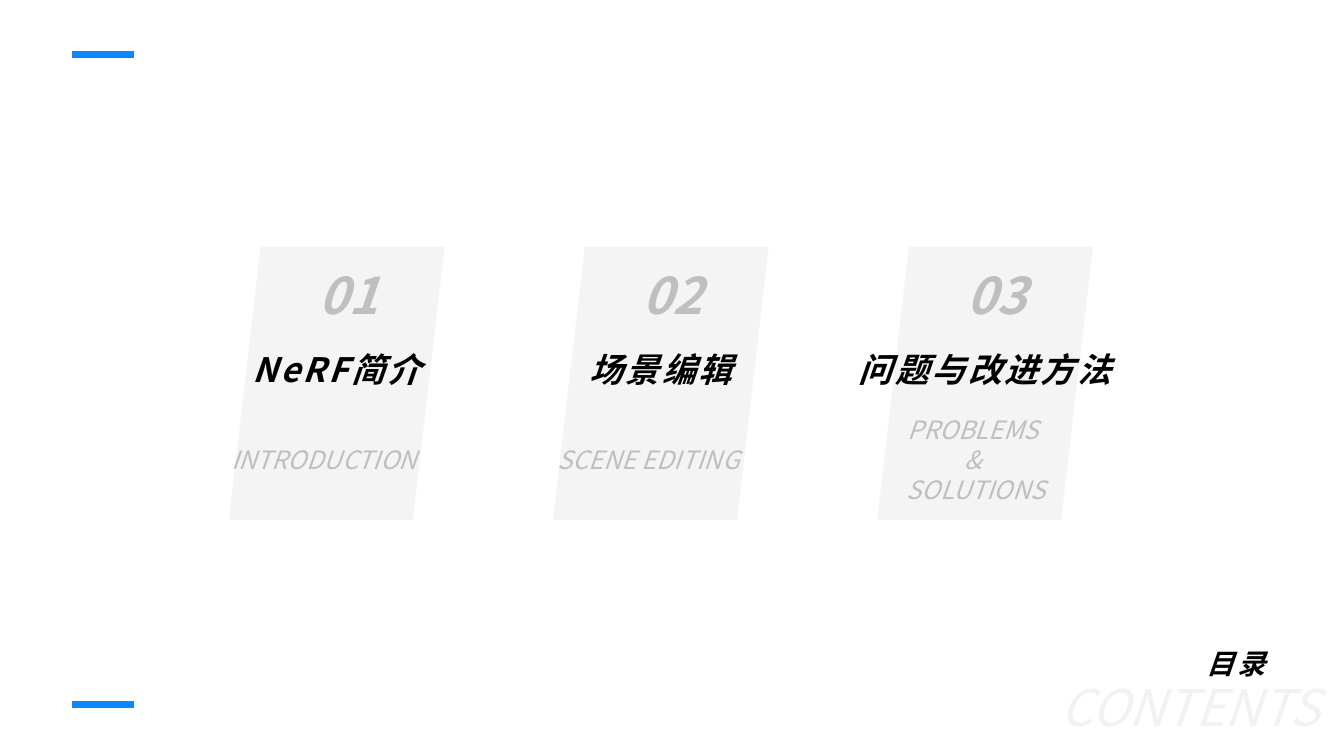
from lxml import etree
from pptx import Presentation
from pptx import util as u
from pptx.dml.color import RGBColor
from pptx.enum import shapes, text
from pptx.oxml.ns import qn

COLORS = {"panel": "F2F2F2", "grey": "BFBFBF", "black": "000000", "accent": "0B88FF"}
FONT = "Noto Sans CJK SC"
STYLES = {
    "number": {"size": u.Pt(36), "bold": True, "italic": True},
    "title": {"size": u.Pt(24), "bold": True, "italic": True},
    "caption": {"size": u.Pt(18), "bold": False, "italic": True},
    "heading": {"size": u.Pt(20), "bold": True, "italic": True},
    "backdrop": {"size": u.Pt(36), "bold": False, "italic": True},
}
TEXT_COLORS = {"number": "grey", "title": "black", "caption": "grey",
               "heading": "black", "backdrop": "panel"}
SPACED = ("title", "heading")


class SlideBuilder:
    def __init__(self, slide):
        self.slide = slide

    def panel(self, left, top, width, height):
        shape = self.slide.shapes.add_shape(
            shapes.MSO_SHAPE.PARALLELOGRAM,
            u.Inches(left), u.Inches(top), u.Inches(width), u.Inches(height))
        shape.shadow.inherit = False
        shape.adjustments[0] = 0.147
        shape.fill.solid()
        shape.fill.fore_color.rgb = RGBColor.from_string(COLORS["panel"])
        shape.line.fill.background()
        color = shape.fill._xPr.find(".//" + qn("a:srgbClr"))
        etree.SubElement(color, qn("a:alpha"), val="80000")

    def label(self, style, lines, left, top, width, height, centred=False):
        shape = self.slide.shapes.add_textbox(
            u.Inches(left), u.Inches(top), u.Inches(width), u.Inches(height))
        frame = shape.text_frame
        frame.word_wrap = centred
        frame.auto_size = text.MSO_AUTO_SIZE.SHAPE_TO_FIT_TEXT
        for index, line in enumerate(lines):
            paragraph = frame.add_paragraph() if index else frame.paragraphs[0]
            if centred:
                paragraph.alignment = text.PP_ALIGN.CENTER
            run = paragraph.add_run()
            run.text = line
            for name, value in {"name": FONT, **STYLES[style]}.items():
                setattr(run.font, name, value)
            run.font.color.rgb = RGBColor.from_string(COLORS[TEXT_COLORS[style]])
            properties = run._r.get_or_add_rPr()
            if style in SPACED:
                properties.set("spc", "200")
            etree.SubElement(properties, qn("a:ea"), typeface=FONT)

    def bar(self, left, right, y):
        connector = self.slide.shapes.add_connector(
            shapes.MSO_CONNECTOR.STRAIGHT,
            u.Inches(left), u.Inches(y), u.Inches(right), u.Inches(y))
        connector.line.color.rgb = RGBColor.from_string(COLORS["accent"])
        connector.line.width = u.Pt(5)
        etree.SubElement(connector._element.spPr, qn("a:effectLst"))


def main():
    presentation = Presentation()
    presentation.slide_width = u.Inches(13.33)
    presentation.slide_height = u.Inches(7.5)
    builder = SlideBuilder(presentation.slides.add_slide(presentation.slide_layouts[6]))

    sections = [
        ("NeRF简介", 2.02, ["INTRODUCTION"], (2.1, 4.36, 2.23, 0.4)),
        ("场景编辑", 2.39, ["SCENE EDITING"], (5.36, 4.36, 2.14, 0.4)),
        ("问题与改进方法", 2.75, ["PROBLEMS ", "& ", "SOLUTIONS"], (8.02, 4.06, 3.32, 1.01)),
    ]
    panel_left, panel_width, pitch = 2.27, 2.14, 3.215
    for index, (title, title_width, caption, caption_box) in enumerate(sections):
        left = panel_left + index * pitch
        title_left = left + (panel_width - title_width) / 2
        builder.panel(left, 2.45, panel_width, 2.71)
        builder.label("number", [f"{index + 1:02d}"], left + 0.79, 2.57, 0.83, 0.71)
        builder.label("title", [title], title_left, 3.41, title_width, 0.5, centred=True)
        builder.label("caption", caption, *caption_box, centred=True)

    builder.label("heading", ["目录"], 11.87, 6.36, 0.82, 0.44)
    builder.label("backdrop", ["CONTENTS"], 10.42, 6.66, 2.91, 0.71)
    for y in (0.54, 6.99):
        builder.bar(0.71, 1.33, y)

    presentation.save("out.pptx")


if __name__ == "__main__":
    main()
